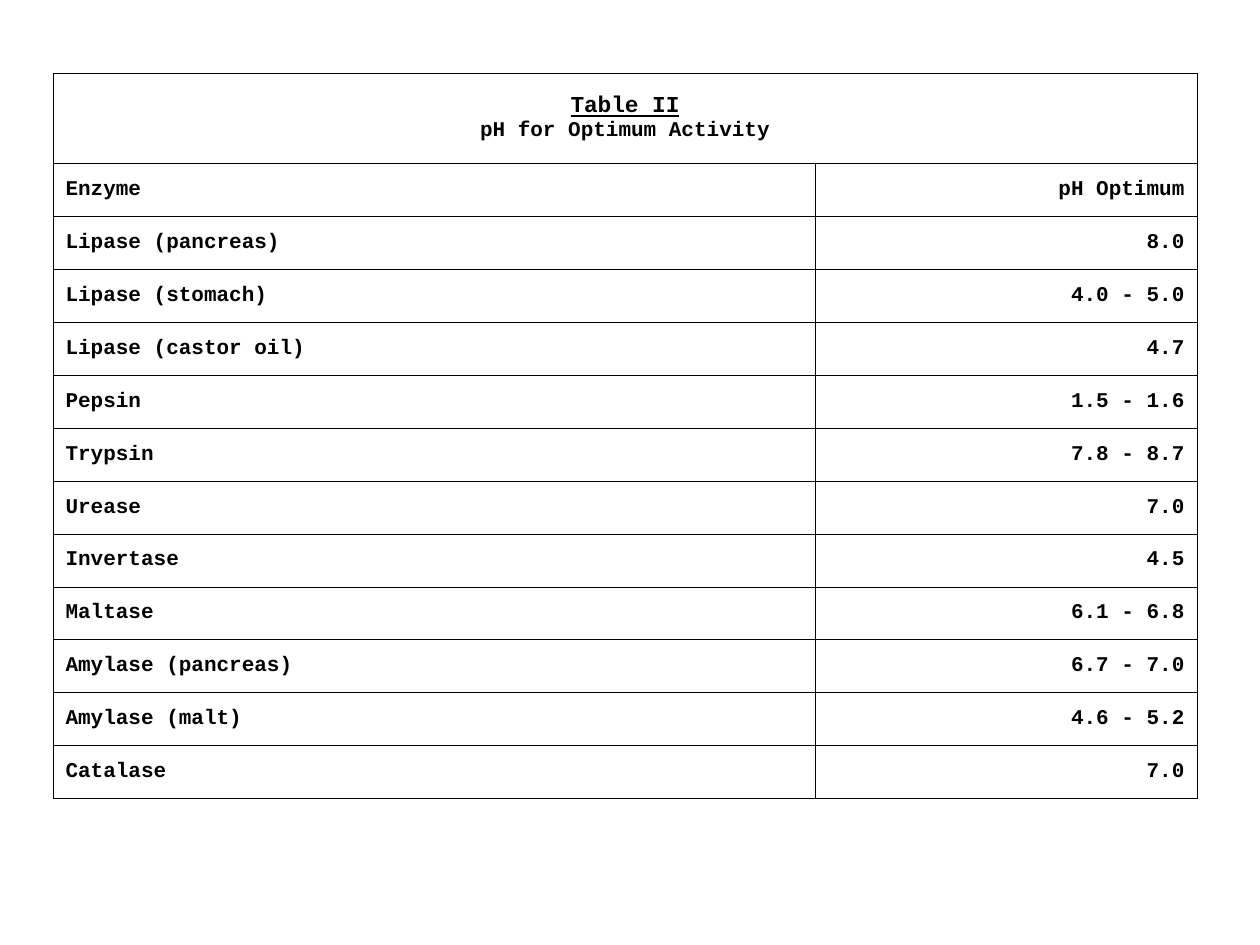
from lxml.etree import SubElement
from pptx import Presentation
from pptx.dml.color import RGBColor
from pptx.enum.text import MSO_ANCHOR, PP_ALIGN
from pptx.oxml.ns import qn
from pptx.util import Inches, Pt

TITLE = "Table II"
SUBTITLE = "pH for Optimum Activity"
ROWS = [
    ("Enzyme", "pH Optimum"),
    ("Lipase (pancreas)", "8.0"),
    ("Lipase (stomach)", "4.0 - 5.0"),
    ("Lipase (castor oil)", "4.7"),
    ("Pepsin", "1.5 - 1.6"),
    ("Trypsin", "7.8 - 8.7"),
    ("Urease", "7.0"),
    ("Invertase", "4.5"),
    ("Maltase", "6.1 - 6.8"),
    ("Amylase (pancreas)", "6.7 - 7.0"),
    ("Amylase (malt)", "4.6 - 5.2"),
    ("Catalase", "7.0"),
]

BLACK = RGBColor(0, 0, 0)
FONT = "Courier New"
LEFT, TOP = 0.42, 0.58
COLUMN_WIDTHS = (6.05, 3.03)
TITLE_HEIGHT, ROW_HEIGHT = 0.72, 0.42
BORDER_WIDTH = Pt(0.34)
ALIGNMENTS = (PP_ALIGN.LEFT, PP_ALIGN.RIGHT)


def add_borders(cell):
    properties = cell._tc.get_or_add_tcPr()
    for side in ("a:lnL", "a:lnR", "a:lnT", "a:lnB"):
        line = SubElement(properties, qn(side), w=str(int(BORDER_WIDTH)))
        fill = SubElement(line, qn("a:solidFill"))
        SubElement(fill, qn("a:srgbClr"), val=str(BLACK))


def style_paragraph(para, alignment):
    para.alignment = alignment
    para.font.name = FONT
    para.font.size = Pt(12)
    para.font.bold = True
    para.font.color.rgb = BLACK


def fill_title(cell):
    para = cell.text_frame.paragraphs[0]
    heading = para.add_run()
    heading.text = TITLE
    heading.font.size = Pt(13)
    heading.font.underline = True
    para.add_line_break()
    para.add_run().text = SUBTITLE
    style_paragraph(para, PP_ALIGN.CENTER)


def main():
    deck = Presentation()
    deck.slide_width, deck.slide_height = Inches(10), Inches(7.5)
    page = deck.slides.add_slide(deck.slide_layouts[6])

    height = TITLE_HEIGHT + ROW_HEIGHT * len(ROWS)
    table = page.shapes.add_table(
        len(ROWS) + 1, len(COLUMN_WIDTHS), Inches(LEFT), Inches(TOP),
        Inches(sum(COLUMN_WIDTHS)), Inches(height)).table
    table.first_row = table.horz_banding = False
    for column, width in zip(table.columns, COLUMN_WIDTHS):
        column.width = Inches(width)
    for row in table.rows:
        row.height = Inches(ROW_HEIGHT)
    table.rows[0].height = Inches(TITLE_HEIGHT)

    for cell in table.iter_cells():
        cell.vertical_anchor = MSO_ANCHOR.MIDDLE
        add_borders(cell)
        cell.fill.background()

    table.cell(0, 0).merge(table.cell(0, 1))
    fill_title(table.cell(0, 0))
    for row_number, values in enumerate(ROWS, start=1):
        for column_number, value in enumerate(values):
            cell = table.cell(row_number, column_number)
            cell.text = value
            style_paragraph(cell.text_frame.paragraphs[0], ALIGNMENTS[column_number])

    deck.save("out.pptx")


if __name__ == "__main__":
    main()
